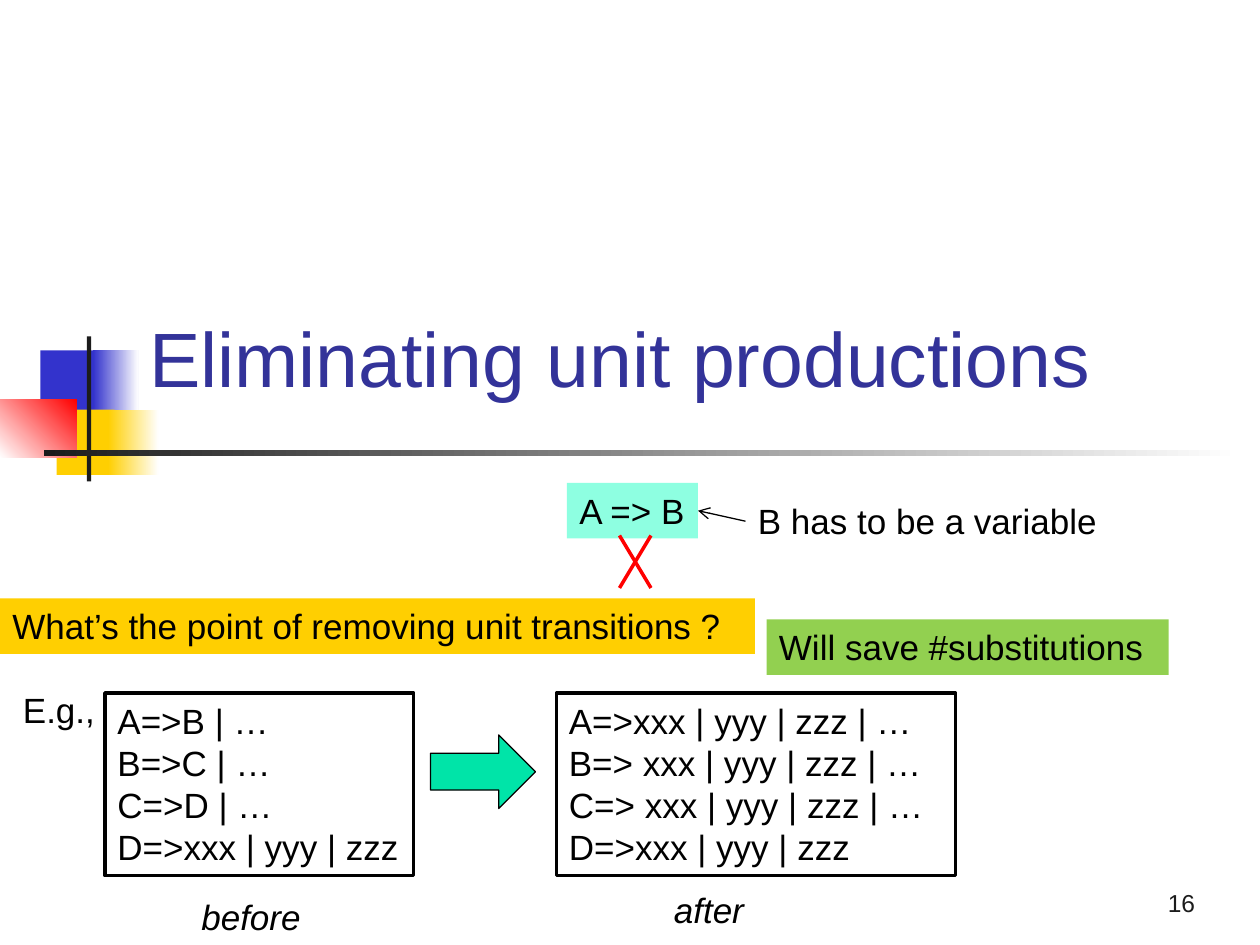
from lxml import etree
from pptx import Presentation
from pptx.dml.color import RGBColor
from pptx.enum.shapes import MSO_CONNECTOR, MSO_SHAPE
from pptx.enum.text import MSO_ANCHOR, PP_ALIGN
from pptx.oxml.ns import qn
from pptx.util import Inches, Pt

RECTANGLE, RIGHT_ARROW = MSO_SHAPE.RECTANGLE, MSO_SHAPE.RIGHT_ARROW
STRAIGHT = MSO_CONNECTOR.STRAIGHT
TOP, BOTTOM = MSO_ANCHOR.TOP, MSO_ANCHOR.BOTTOM
LEFT, RIGHT = PP_ALIGN.LEFT, PP_ALIGN.RIGHT

COLUMNS, ROWS = 120, 90
LABEL_ROWS = 5.28
BLUE, YELLOW, RED = "3333CC", "FFCF01", "FF0000"
WHITE, BLACK, CHARCOAL = "FFFFFF", "000000", "1C1C1C"


def color(value):
    return RGBColor.from_string(value)


class SlideBuilder:
    """Places styled elements on a grid of 120 columns by 90 rows."""

    text_format = {"name": "Arial", "size": Pt(20), "italic": False}

    def __init__(self, presentation):
        self.column = presentation.slide_width / COLUMNS
        self.row = presentation.slide_height / ROWS
        self.slide = presentation.slides.add_slide(presentation.slide_layouts[0])
        self.shapes = self.slide.shapes

    def area(self, left, top, width, height):
        return (round(left * self.column), round(top * self.row),
                round(width * self.column), round(height * self.row))

    def set_text(self, shape, lines, text_color=BLACK, align=LEFT, anchor=TOP, **changes):
        frame = shape.text_frame
        frame_format = {"word_wrap": True, "vertical_anchor": anchor,
                        "margin_left": Inches(0.1), "margin_top": Inches(0.05),
                        "margin_right": 0 if align == LEFT else Inches(0.1),
                        "margin_bottom": Inches(0.05)}
        for name, value in frame_format.items():
            setattr(frame, name, value)
        frame.text = "\n".join(lines)
        for paragraph in frame.paragraphs:
            paragraph.alignment = align
            font = paragraph.runs[0].font
            for name, value in {**self.text_format, **changes}.items():
                setattr(font, name, value)
            font.color.rgb = color(text_color)

    def title(self, text, *area):
        title, subtitle = self.slide.placeholders
        subtitle.element.getparent().remove(subtitle.element)
        title.left, title.top, title.width, title.height = self.area(*area)
        self.set_text(title, [text], "333399", anchor=BOTTOM, size=Pt(44))

    def block(self, area, fill, line=None, line_width=0.75, kind=RECTANGLE):
        shape = self.shapes.add_shape(kind, *self.area(*area))
        shape.shadow.inherit = False
        shape.fill.solid()
        shape.fill.fore_color.rgb = color(fill)
        if line:
            shape.line.color.rgb = color(line)
            shape.line.width = Pt(line_width)
        else:
            shape.line.fill.background()
        return shape

    def fade(self, area, start, end, angle=0):
        """Adds a gradient block; the angle runs counter-clockwise."""
        shape = self.block(area, start)
        shape.fill.gradient()
        shape.fill.gradient_angle = angle
        for stop, position, value in zip(shape.fill.gradient_stops, (0, 1), (start, end)):
            stop.position = position
            stop.color.rgb = color(value)

    def label(self, text, left, top, width, height=LABEL_ROWS, **style):
        box = self.shapes.add_textbox(*self.area(left, top, width, height))
        self.set_text(box, [text], **style)

    def banner(self, text, left, top, width, fill):
        self.set_text(self.block((left, top, width, LABEL_ROWS), fill), [text])

    def grammar(self, rules, left, width):
        self.set_text(self.block((left, 66, width, 17.4), WHITE, BLACK, 2), rules)

    def line(self, start, end, line_color, width, arrow=False):
        points = self.area(*start, *end)
        connector = self.shapes.add_connector(STRAIGHT, *points)
        connector.line.color.rgb = color(line_color)
        connector.line.width = Pt(width)
        properties = connector.element.spPr
        etree.SubElement(properties, qn("a:effectLst"))
        if arrow:
            etree.SubElement(properties.find(qn("a:ln")), qn("a:tailEnd"), type="arrow")

    def ornament(self):
        self.block((3.84, 33.36, 5.76, 6.24), BLUE)
        self.fade((8.88, 33.36, 4.32, 6.24), BLUE, WHITE)
        self.block((5.4, 39, 5.52, 6.24), YELLOW)
        self.fade((10.32, 39, 4.8, 6.24), YELLOW, WHITE)
        self.fade((0, 38.04, 7.32, 5.52), WHITE, RED, 45)
        self.block((8.28, 32.04, 0.4, 13.8), CHARCOAL)
        self.fade((4.2, 42.84, 114, 0.6), CHARCOAL, WHITE)


def main():
    presentation = Presentation()
    presentation.slide_width, presentation.slide_height = Inches(10), Inches(7.5)
    builder = SlideBuilder(presentation)

    builder.ornament()
    builder.title("Eliminating unit productions", 13, 24, 102, 15)
    builder.label("16", 90, 82, 25, 6, text_color=CHARCOAL, align=RIGHT,
                  anchor=BOTTOM, size=Pt(14))

    builder.banner("A => B", 54, 46, 12.48, "8EFFE1")
    for start, end in ((59, 62), (62, 59)):
        builder.line((start, 51), (end, 56), RED, 2)
    builder.line((71, 49.64), (66.48, 48.64), BLACK, 0.75, arrow=True)
    builder.label("B has to be a variable", 71, 47, 34.9)

    builder.banner("What’s the point of removing unit transitions ?", 0, 57, 71.9, YELLOW)
    builder.banner("Will save #substitutions", 73, 59, 38.3, "92D050")

    builder.label("E.g.,", 1, 65, 10.2)
    builder.grammar(["A=>B | …", "B=>C | …", "C=>D | …", "D=>xxx | yyy | zzz"], 10, 29.4)
    builder.block((41, 70, 10, 7), "00E4A8", BLACK, kind=RIGHT_ARROW)
    builder.grammar(["A=>xxx | yyy | zzz | …", "B=> xxx | yyy | zzz | …",
                     "C=> xxx | yyy | zzz | …", "D=>xxx | yyy | zzz"], 53, 38)
    builder.label("before", 18, 84.7, 12, italic=True)
    builder.label("after", 63, 84, 9.1, italic=True)

    presentation.save("out.pptx")


if __name__ == "__main__":
    main()
